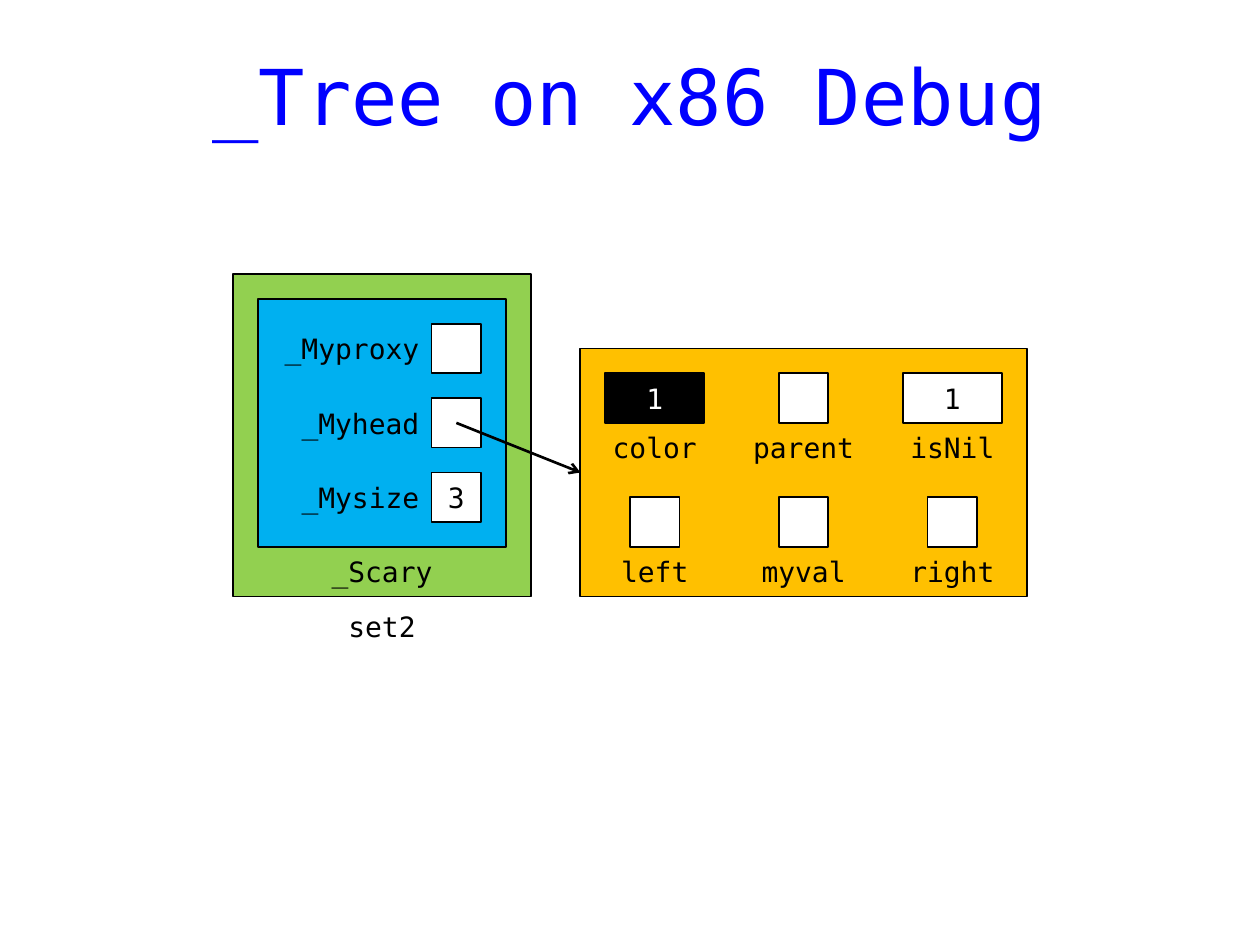
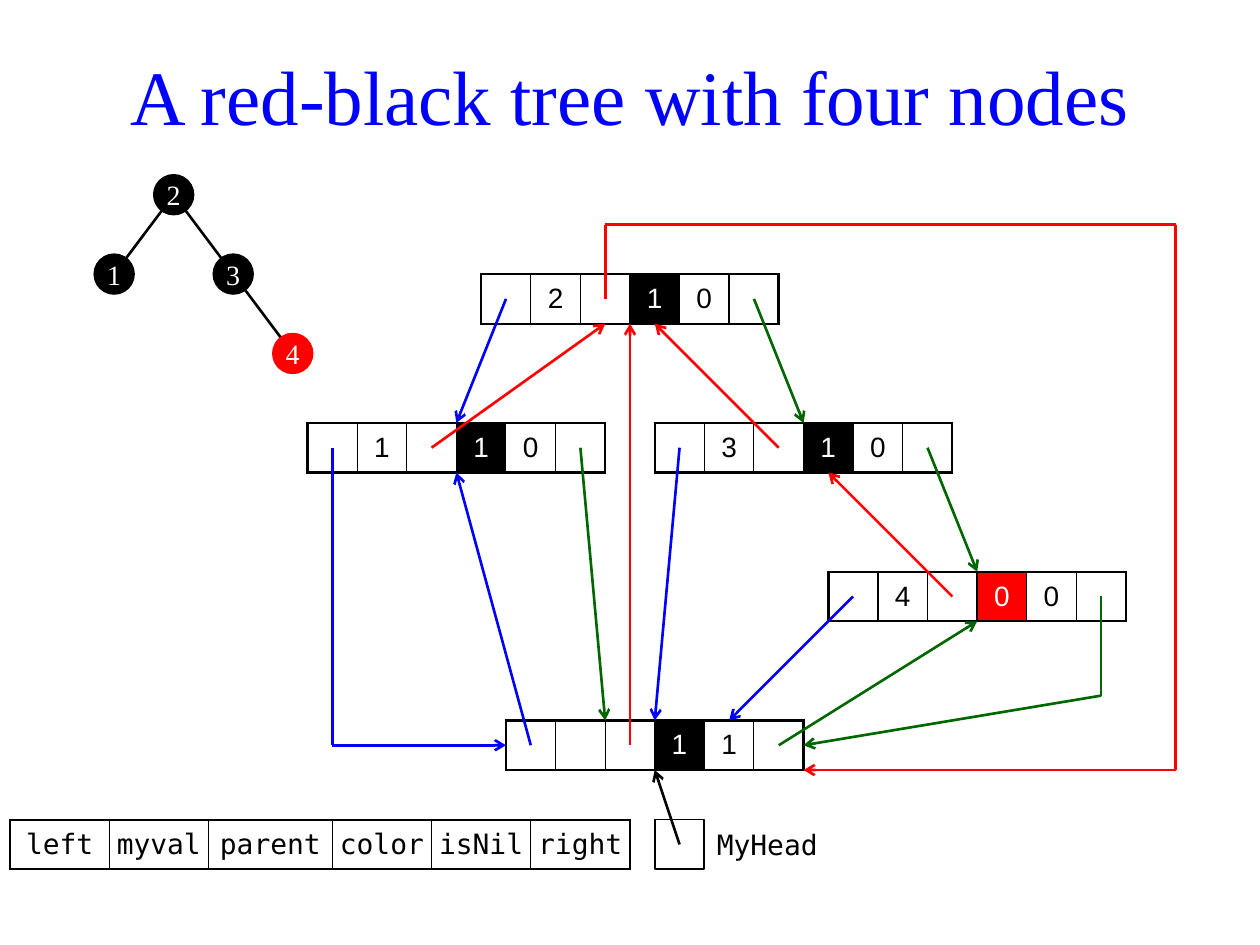
from itertools import pairwise

from lxml.etree import SubElement
from pptx import Presentation
from pptx.dml.color import RGBColor
from pptx.enum.shapes import MSO_CONNECTOR, MSO_SHAPE
from pptx.enum.text import MSO_ANCHOR, PP_ALIGN
from pptx.oxml.ns import qn
from pptx.util import Pt

BLACK, WHITE, RED, BLUE, DARK_GREEN = "000000", "FFFFFF", "FF0000", "0000FF", "006600"
GREEN, SKY, ORANGE = "92D050", "00B0F0", "FFC000"
MONO, SERIF, SANS = "DejaVu Sans Mono", "Times New Roman", "Arial"

# Positions are grid steps, counted from the centre of the slide.
STEP = 14.17
CENTRE_X, CENTRE_Y = 360, 270


def add_box(page, left, top, width, height, text="", fill=None, color=BLACK, font=MONO,
            size=16, align=PP_ALIGN.CENTER, inset=0, outline=BLACK, kind=MSO_SHAPE.RECTANGLE):
    """Add a filled shape, or a plain text box when there is no fill."""
    frame = (Pt(CENTRE_X + left * STEP), Pt(CENTRE_Y + top * STEP),
             Pt(width * STEP), Pt(height * STEP))
    if fill:
        box = page.shapes.add_shape(kind, *frame)
        box.shadow.inherit = False
        box.fill.solid()
        box.fill.fore_color.rgb = RGBColor.from_string(fill)
        box.line.color.rgb = RGBColor.from_string(outline)
        box.line.width = Pt(1)
    else:
        box = page.shapes.add_textbox(*frame)
    if text:
        body = box.text_frame
        body.word_wrap = True
        body.vertical_anchor = MSO_ANCHOR.MIDDLE
        body.margin_left = body.margin_right = Pt(inset)
        body.margin_top = body.margin_bottom = 0
        body.text = text
        para = body.paragraphs[0]
        para.alignment = align
        span = para.runs[0]
        span.font.name = font
        span.font.size = Pt(size)
        span.font.color.rgb = RGBColor.from_string(color)
    return box


def add_route(page, color, *points, arrow=True):
    """Join the points with straight lines; the arrowhead sits at the last point."""
    for start, end in pairwise(points):
        line = page.shapes.add_connector(
            MSO_CONNECTOR.STRAIGHT,
            Pt(CENTRE_X + start[0] * STEP), Pt(CENTRE_Y + start[1] * STEP),
            Pt(CENTRE_X + end[0] * STEP), Pt(CENTRE_Y + end[1] * STEP))
        line.line.color.rgb = RGBColor.from_string(color)
        line.line.width = Pt(1.5)
        SubElement(line._element.spPr, qn("a:effectLst"))
    if arrow:
        SubElement(line.line._get_or_add_ln(), qn("a:tailEnd"), type="arrow")


deck = Presentation()
deck.slide_width, deck.slide_height = Pt(720), Pt(540)

pages = []
for title, font in [("_Tree on x86 Debug", MONO), ("A red-black tree with four nodes", SERIF)]:
    page = deck.slides.add_slide(deck.slide_layouts[6])
    title_box = add_box(page, -23, -18, 46, 6, title, color=BLUE, font=font, size=44)
    title_box.text_frame.paragraphs[0].line_spacing = 0.9
    pages.append(page)
layout_page, tree_page = pages

# Slide 1: the set object and its head node
add_box(layout_page, -16, -8, 12, 13, fill=GREEN)
add_box(layout_page, -15, -7, 10, 10, fill=SKY)
add_box(layout_page, -13, 3, 6, 2, "_Scary")
add_box(layout_page, -13, 5, 6, 2.4, "set2")
for row, (member, value) in enumerate([("_Myproxy", ""), ("_Myhead", ""), ("_Mysize", "3")]):
    top = -6 + 3 * row
    add_box(layout_page, -15, top, 7, 2, member, align=PP_ALIGN.RIGHT, inset=7.2)
    add_box(layout_page, -8, top, 2, 2, value, fill=WHITE)

add_box(layout_page, -2, -5, 18, 10, fill=ORANGE)
node_fields = [
    ("color", "1", 4, BLACK, WHITE), ("parent", "", 2, WHITE, BLACK), ("isNil", "1", 4, WHITE, BLACK),
    ("left", "", 2, WHITE, BLACK), ("myval", "", 2, WHITE, BLACK), ("right", "", 2, WHITE, BLACK),
]
for index, (name, value, width, fill, color) in enumerate(node_fields):
    row, column = divmod(index, 3)
    middle, top = 1 + 6 * column, -4 + 5 * row
    add_box(layout_page, middle - width / 2, top, width, 2, value, fill=fill, color=color)
    add_box(layout_page, middle - 3, top + 2, 6, 2, name)
add_route(layout_page, BLACK, (-7, -2), (-2, 0))

# Slide 2: the abstract tree
tree_nodes = {"2": (-18.4, -11.2), "1": (-20.8, -8), "3": (-16, -8), "4": (-13.6, -4.8)}
for parent, child in ["21", "23", "34"]:
    add_route(tree_page, BLACK, tree_nodes[parent], tree_nodes[child], arrow=False)
for value, (x, y) in tree_nodes.items():
    fill = RED if value == "4" else BLACK
    add_box(tree_page, x - 0.8, y - 0.8, 1.6, 1.6, value, fill=fill, outline=fill,
            color=WHITE, font=SERIF, kind=MSO_SHAPE.OVAL)

# Slide 2: the nodes in memory, and the legend of their fields
even_columns = [2] * 6
memory_rows = [
    (-6, -8, even_columns, ["", "2", "", "1", "0", ""], SANS, BLACK),
    (-13, -2, even_columns, ["", "1", "", "1", "0", ""], SANS, BLACK),
    (1, -2, even_columns, ["", "3", "", "1", "0", ""], SANS, BLACK),
    (8, 4, even_columns, ["", "4", "", "0", "0", ""], SANS, RED),
    (-5, 10, even_columns, ["", "", "", "1", "1", ""], SANS, BLACK),
    (-25, 14, [4, 4, 5, 4, 4, 4], ["left", "myval", "parent", "color", "isNil", "right"], MONO, None),
]
for left, top, widths, values, font, color_fill in memory_rows:
    table = tree_page.shapes.add_table(
        1, len(values), Pt(CENTRE_X + left * STEP), Pt(CENTRE_Y + top * STEP),
        Pt(sum(widths) * STEP), Pt(2 * STEP)).table
    table.first_row = table.horz_banding = False
    last = len(values) - 1
    for column, (width, value) in enumerate(zip(widths, values)):
        table.columns[column].width = Pt(width * STEP)
        cell = table.cell(0, column)
        cell.margin_left = cell.margin_right = cell.margin_top = cell.margin_bottom = 0
        cell.vertical_anchor = MSO_ANCHOR.MIDDLE
        borders = {"lnL": 1.5 if column == 0 else 0.75, "lnR": 1.5 if column == last else 0.75,
                   "lnT": 1.5, "lnB": 1.5}
        for side, weight in borders.items():
            border = SubElement(cell._tc.get_or_add_tcPr(), qn("a:" + side), w=str(Pt(weight)))
            SubElement(SubElement(border, qn("a:solidFill")), qn("a:srgbClr"), val=BLACK)
        is_color = color_fill and column == 3
        if is_color:
            cell.fill.solid()
            cell.fill.fore_color.rgb = RGBColor.from_string(color_fill)
        else:
            cell.fill.background()
        if value:
            cell.text_frame.text = value
            para = cell.text_frame.paragraphs[0]
            para.alignment = PP_ALIGN.CENTER
            span = para.runs[0]
            span.font.name = font
            span.font.size = Pt(16)
            span.font.color.rgb = RGBColor.from_string(WHITE if is_color else BLACK)

add_box(tree_page, 1, 14, 2, 2, fill=WHITE)
add_box(tree_page, 3, 14, 6, 2, "MyHead", align=PP_ALIGN.LEFT, inset=7.2)

pointers = {
    BLUE: [  # left
        [(-5, -7), (-7, -2)],
        [(-12, -1), (-12, 11), (-5, 11)],
        [(2, -1), (1, 10)],
        [(9, 5), (4, 10)],
        [(-4, 11), (-7, 0)],
    ],
    DARK_GREEN: [  # right
        [(5, -7), (7, -2)],
        [(-2, -1), (-1, 10)],
        [(12, -1), (14, 4)],
        [(19, 5), (19, 9), (7, 11)],
        [(6, 11), (14, 6)],
    ],
    RED: [  # parent
        [(-1, -7), (-1, -10), (22, -10), (22, 12), (7, 12)],
        [(-8, -1), (-1, -6)],
        [(6, -1), (1, -6)],
        [(13, 5), (8, 0)],
        [(0, 11), (0, -6)],
    ],
    BLACK: [[(2, 15), (1, 12)]],  # MyHead
}
for color, routes in pointers.items():
    for route in routes:
        add_route(tree_page, color, *route)

deck.save("out.pptx")
